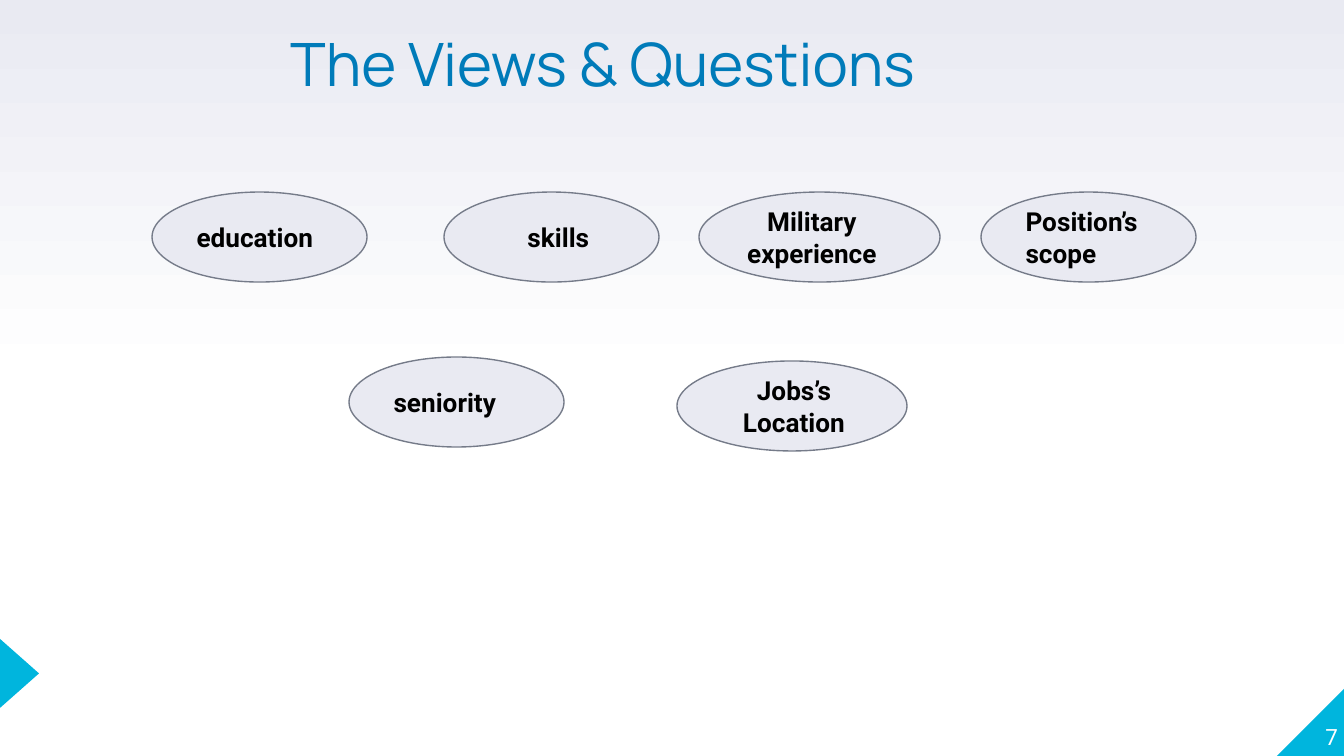
from pptx import Presentation
from pptx.dml.color import RGBColor
from pptx.enum.shapes import MSO_SHAPE
from pptx.enum.text import MSO_ANCHOR, PP_ALIGN
from pptx.util import Emu, Pt

COLORS = {
    "white": "FFFFFF",
    "mist": "E9EAF2",
    "outline": "757B89",
    "accent": "00B5DD",
    "title": "007BB9",
    "text": "000000",
}
SCALE = 914400 / 134.4


def px(*values):
    return [Emu(round(v * SCALE)) for v in values]


def write(sp, text, font, size, color, bold=False, align=PP_ALIGN.LEFT):
    tf = sp.text_frame
    tf.word_wrap = True
    p = tf.paragraphs[0]
    p.text = text
    p.alignment = align
    p.font.name = font
    p.font.size = Pt(size)
    p.font.bold = bold
    p.font.color.rgb = RGBColor.from_string(COLORS[color])
    return tf


prs = Presentation()
prs.slide_width, prs.slide_height = px(1344, 756)
s = prs.slides.add_slide(prs.slide_layouts[6])

fill = s.background.fill
fill.gradient()
fill.gradient_angle = 270
for stop, color, position in zip(fill.gradient_stops, ("mist", "white"), (0, 0.5)):
    stop.color.rgb = RGBColor.from_string(COLORS[color])
    stop.position = position

corner = s.shapes.add_shape(MSO_SHAPE.RIGHT_TRIANGLE, *px(1277, 687, 69, 69))
corner._element.spPr.xfrm.set("flipH", "1")
marker = s.shapes.add_shape(MSO_SHAPE.ISOSCELES_TRIANGLE, *px(-15, 654, 69, 39))
marker.rotation = 90
for sp in (corner, marker):
    sp.shadow.inherit = False
    sp.fill.solid()
    sp.fill.fore_color.rgb = RGBColor.from_string(COLORS["accent"])
    sp.line.fill.background()

number = s.shapes.add_textbox(*px(1271, 681, 67, 69))
tf = write(number, "7", "Roboto", 12, "white", align=PP_ALIGN.RIGHT)
tf.vertical_anchor = MSO_ANCHOR.BOTTOM
tf.margin_left = tf.margin_top = tf.margin_right = tf.margin_bottom = 0

topics = [
    ("education", 152, 192, 215, PP_ALIGN.LEFT, 13, 13),
    ("skills", 444, 192, 215, PP_ALIGN.LEFT, 52, 13),
    ("Military experience", 699, 192, 241, PP_ALIGN.CENTER, 5, 20),
    ("Position’s scope", 981, 192, 215, PP_ALIGN.LEFT, 13, 13),
    ("seniority", 349, 357, 215, PP_ALIGN.LEFT, 13, 13),
    ("Jobs’s Location", 677, 361, 230, PP_ALIGN.CENTER, 15, 11),
]
for text, left, top, width, align, inset_left, inset_right in topics:
    sp = s.shapes.add_shape(MSO_SHAPE.OVAL, *px(left, top, width, 90))
    sp.shadow.inherit = False
    sp.fill.solid()
    sp.fill.fore_color.rgb = RGBColor.from_string(COLORS["mist"])
    sp.line.color.rgb = RGBColor.from_string(COLORS["outline"])
    sp.line.width = Pt(0.75)
    tf = write(sp, text, "Roboto", 14, "text", bold=True, align=align)
    tf.vertical_anchor = MSO_ANCHOR.MIDDLE
    tf.margin_left, tf.margin_right = px(inset_left, inset_right)
    tf.margin_top, tf.margin_bottom = px(13, 13)

title = s.shapes.add_textbox(*px(277, 20, 700, 90))
write(title, "The Views & Questions", "Manrope", 32, "title")

prs.save("out.pptx")
